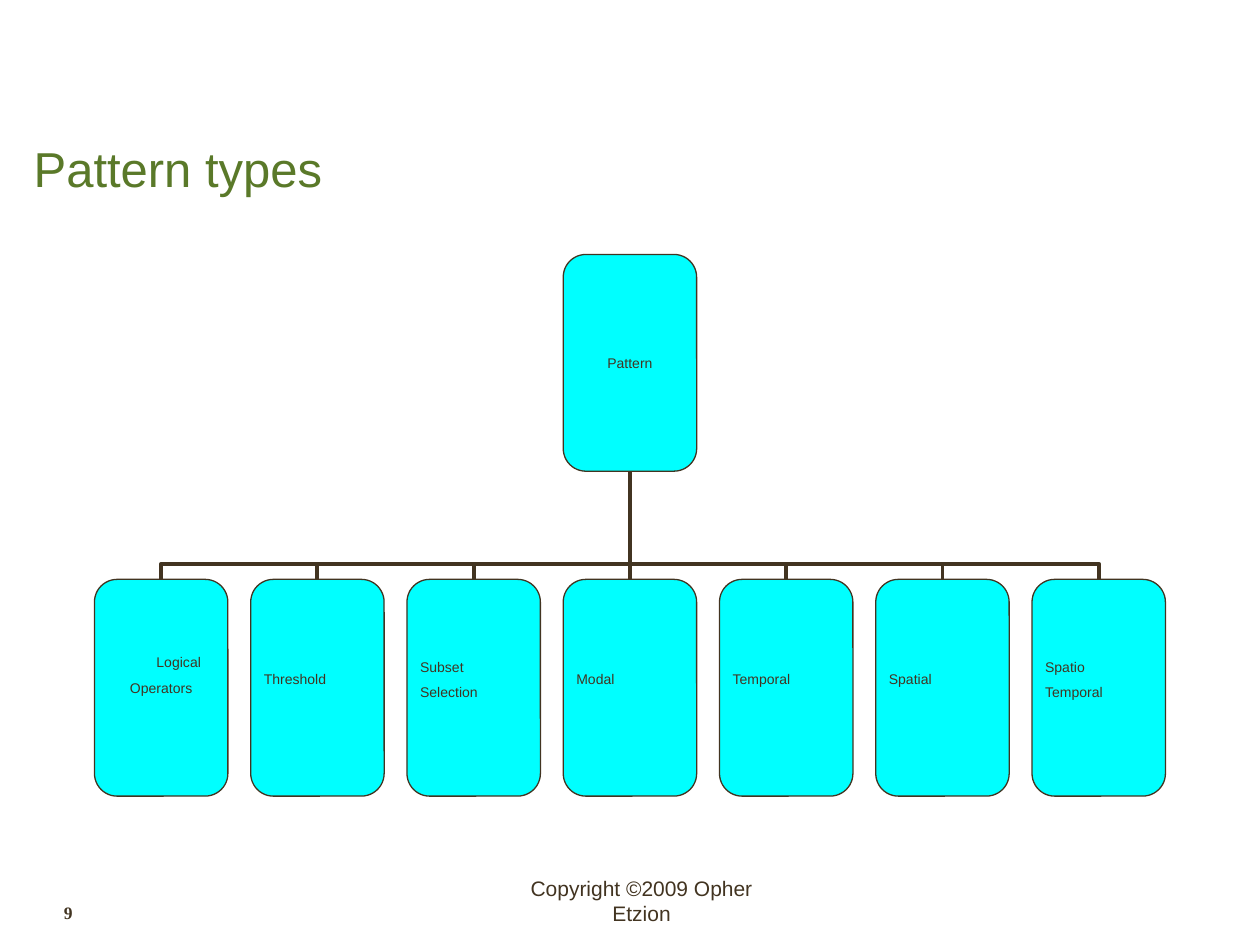
from lxml import etree
from pptx import Presentation
from pptx.dml.color import RGBColor
from pptx.enum.shapes import MSO_CONNECTOR, MSO_SHAPE
from pptx.enum.text import MSO_ANCHOR, PP_ALIGN
from pptx.oxml.ns import qn
from pptx.util import Cm, Pt

ELBOW = MSO_CONNECTOR.ELBOW
ROUNDED = MSO_SHAPE.ROUNDED_RECTANGLE
LEFT, CENTER = PP_ALIGN.LEFT, PP_ALIGN.CENTER
TOP, MIDDLE, BOTTOM = MSO_ANCHOR.TOP, MSO_ANCHOR.MIDDLE, MSO_ANCHOR.BOTTOM


def color(value):
    return RGBColor.from_string(value)


class TreeSlide:
    INK, GREEN, CYAN = "423421", "5A7929", "00FFFF"
    FONT = "Arial"
    BOX_WIDTH, BOX_HEIGHT = 2.69, 4.37

    def __init__(self, presentation):
        self.slide = presentation.slides.add_slide(presentation.slide_layouts[6])

    def style(self, paragraph, size, ink=INK, font=FONT, bold=False, align=LEFT):
        paragraph.alignment = align
        paragraph.font.size = Pt(size)
        paragraph.font.name = font
        paragraph.font.bold = bold
        paragraph.font.color.rgb = color(ink)

    def text(self, words, left, top, width, height, size, anchor=TOP,
             wrap=True, **look):
        shape = self.slide.shapes.add_textbox(Cm(left), Cm(top), Cm(width), Cm(height))
        frame = shape.text_frame
        frame.word_wrap = wrap
        frame.vertical_anchor = anchor
        paragraph = frame.paragraphs[0]
        paragraph.text = words
        self.style(paragraph, size, **look)
        return paragraph

    def box(self, lines, center, top, align=LEFT, side=0.13, lift=0.0, indent=0.0):
        """Rounded box; lift is the bottom inset, indent shifts the first line."""
        shape = self.slide.shapes.add_shape(
            ROUNDED, Cm(center - self.BOX_WIDTH / 2), Cm(top),
            Cm(self.BOX_WIDTH), Cm(self.BOX_HEIGHT))
        shape.shadow.inherit = False
        shape.adjustments[0] = 0.17
        shape.fill.solid()
        shape.fill.fore_color.rgb = color(self.CYAN)
        shape.line.color.rgb = color(self.INK)
        shape.line.width = Pt(0.75)
        frame = shape.text_frame
        frame.word_wrap = True
        frame.vertical_anchor = MIDDLE
        frame.margin_left = frame.margin_right = Cm(side)
        frame.margin_top, frame.margin_bottom = 0, Cm(lift)
        frame.text = "\n".join(lines)
        for paragraph in frame.paragraphs:
            self.style(paragraph, 8, align=align)
        for paragraph in frame.paragraphs[1:]:
            paragraph.space_before = Pt(5)
        if indent:
            set_indent(frame.paragraphs[0], indent)

    def branch(self, child_x, child_y, parent_x, parent_y):
        """Elbow that leaves the child upwards and bends close to it."""
        # The elbow is laid out sideways, then turned by 270 degrees
        middle_x, middle_y = (child_x + parent_x) / 2, (child_y + parent_y) / 2
        reach, rise = (child_x - parent_x) / 2, (child_y - parent_y) / 2
        line = self.slide.shapes.add_connector(
            ELBOW, Cm(middle_x - rise), Cm(middle_y + reach),
            Cm(middle_x + rise), Cm(middle_y - reach))
        line.line.color.rgb = color(self.INK)
        line.line.width = Pt(2.25)
        properties = line._element.spPr
        properties.find(qn("a:xfrm")).set("rot", str(270 * 60000))
        geometry = properties.find(qn("a:prstGeom"))
        guides = geometry.find(qn("a:avLst"))
        if guides is None:
            guides = etree.SubElement(geometry, qn("a:avLst"))
        etree.SubElement(guides, qn("a:gd"), name="adj1", fmla="val 14500")
        etree.SubElement(properties, qn("a:effectLst"))


def set_indent(paragraph, indent):
    properties = paragraph._p.get_or_add_pPr()
    properties.set("marL", str(Cm(indent)))
    properties.set("indent", "0")


presentation = Presentation()
presentation.slide_width, presentation.slide_height = Cm(25.4), Cm(19.05)
tree = TreeSlide(presentation)

# Footer and title
tree.text("Copyright ©2009 Opher Etzion", 9.8, 17.53, 6.27, 0.76, 12,
          wrap=False, align=CENTER)
title = tree.text("Pattern types", 0.43, 2.72, 22.91, 1.4, 28,
                  anchor=BOTTOM, ink=tree.GREEN)
title.line_spacing = 0.9

# Tree: one root above seven evenly spaced children
ROOT_X, ROOT_Y, CHILD_Y, PITCH = 12.7, 5.13, 11.68, 3.15
centered = {"align": CENTER, "side": 0, "lift": 0.51, "indent": 0.71}
raised = {"lift": 0.34}
children = [
    (["Logical", "Operators"], centered),
    (["Threshold"], raised),
    (["Subset", "Selection"], raised),
    (["Modal"], raised),
    (["Temporal"], raised),
    (["Spatial"], raised),
    (["Spatio", "Temporal"], raised),
]
centers = [ROOT_X + (index - len(children) // 2) * PITCH
           for index in range(len(children))]
for center in reversed(centers):
    tree.branch(center, CHILD_Y, ROOT_X, ROOT_Y + tree.BOX_HEIGHT)
tree.box(["Pattern"], ROOT_X, ROOT_Y, align=CENTER, side=0)
for center, (lines, layout) in zip(centers, children):
    tree.box(lines, center, CHILD_Y, **layout)

# Slide number
number = tree.text("9", 0.43, 18.06, 2.79, 0.89, 10, font="Times New Roman", bold=True)
set_indent(number, 0.61)

presentation.save("out.pptx")
